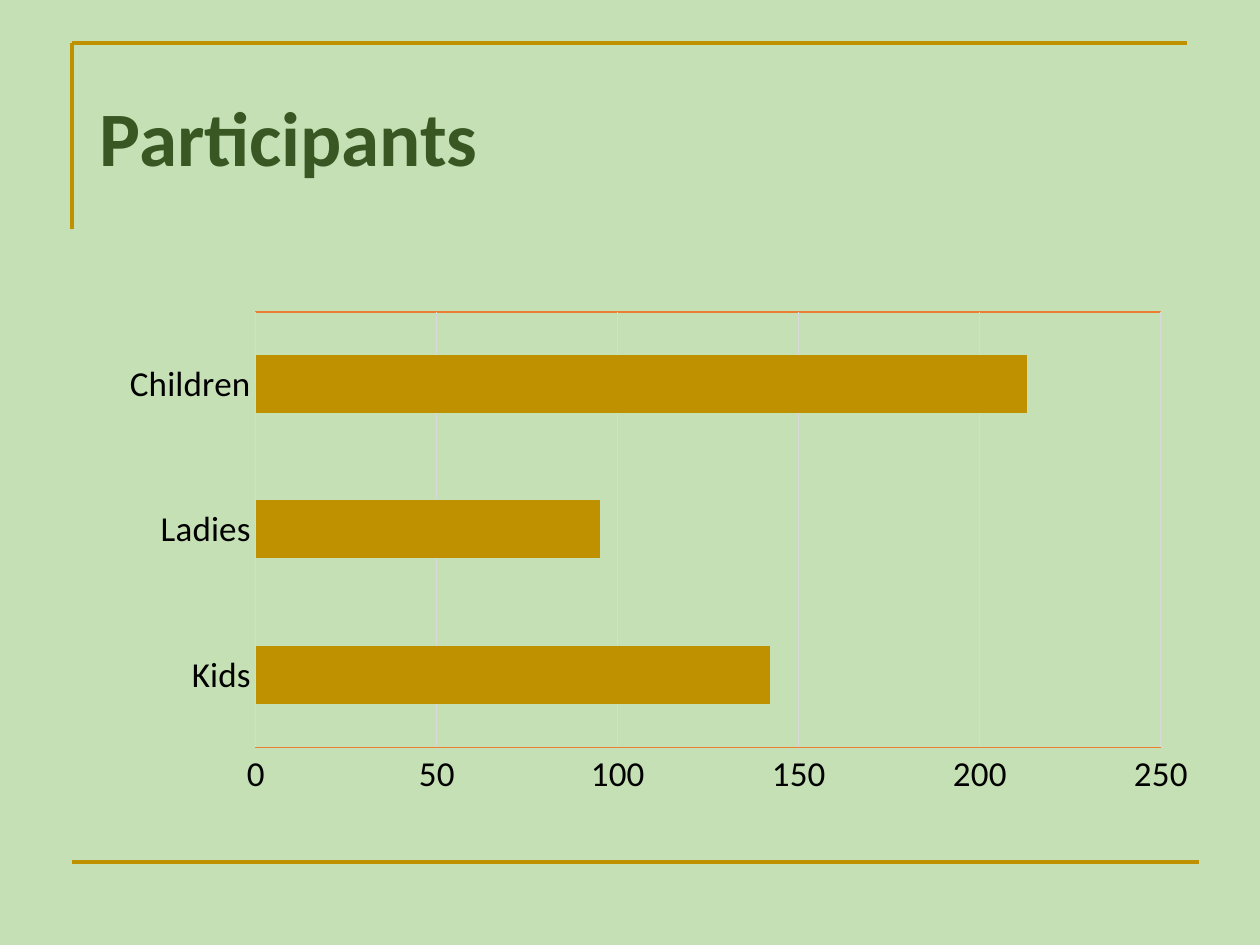
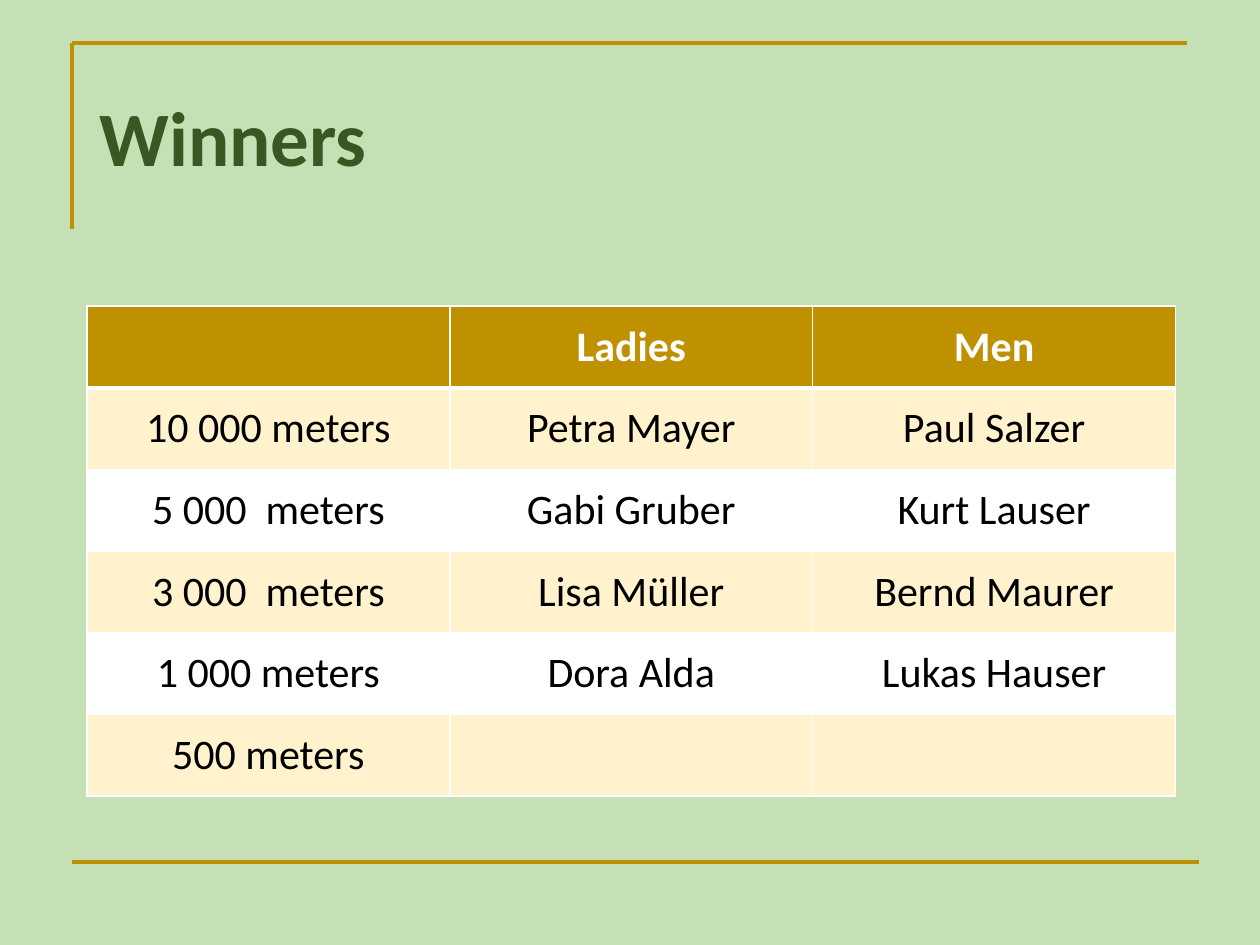
from lxml import etree
from pptx import Presentation
from pptx.chart.data import CategoryChartData
from pptx.dml.color import RGBColor
from pptx.enum.chart import XL_CHART_TYPE, XL_TICK_MARK
from pptx.enum.shapes import MSO_CONNECTOR
from pptx.enum.text import MSO_ANCHOR, PP_ALIGN
from pptx.oxml import parse_xml
from pptx.oxml.ns import nsdecls, qn
from pptx.util import Inches, Pt

BAR_STACKED = XL_CHART_TYPE.BAR_STACKED
NO_TICK = XL_TICK_MARK.NONE
STRAIGHT = MSO_CONNECTOR.STRAIGHT
MIDDLE = MSO_ANCHOR.MIDDLE
LEFT, CENTER = PP_ALIGN.LEFT, PP_ALIGN.CENTER

FONT = "Calibri"
BACKGROUND, GOLD, DARK_GREEN = "C5E0B4", "BF9000", "385723"
CREAM, WHITE, BLACK = "FFF2CC", "FFFFFF", "000000"
GREY, ORANGE = "D9D9D9", "ED7D31"


def rgb(value):
    return RGBColor.from_string(value)


def set_font(font, size, color, bold=False):
    font.name = FONT
    font.size = Pt(size)
    font.bold = bold
    font.color.rgb = rgb(color)


prs = Presentation()
prs.slide_width, prs.slide_height = Inches(10), Inches(7.5)

# Shared layout: background and title position
layout = prs.slide_layouts[5]
fill = layout.background.fill
fill.solid()
fill.fore_color.rgb = rgb(BACKGROUND)
title = layout.placeholders[0]
title.left, title.top = Inches(0.69), Inches(0.4)
title.width, title.height = Inches(8.62), Inches(1.45)
title.text_frame.vertical_anchor = MIDDLE

# Slides with their titles
slides = []
for text in ("Participants", "Winners"):
    s = prs.slides.add_slide(layout)
    s.shapes.title.text_frame.text = text
    p = s.shapes.title.text_frame.paragraphs[0]
    p.alignment = LEFT
    p.line_spacing = 0.9
    set_font(p.runs[0].font, 44, DARK_GREEN, True)
    slides.append(s)
participants, winners = slides

# Gold frame lines, moved to the layout so that both slides share them
for x1, y1, x2, y2 in ((0.57, 1.82, 0.57, 0.34),
                       (0.57, 0.34, 9.42, 0.34),
                       (0.57, 6.84, 9.52, 6.84)):
    line = participants.shapes.add_connector(
        STRAIGHT, Inches(x1), Inches(y1), Inches(x2), Inches(y2))
    line.line.color.rgb = rgb(GOLD)
    line.line.width = Pt(2.25)
    etree.SubElement(line.element.spPr, qn("a:effectLst"))
    layout.shapes.element.append(line.element)

# Participants chart
data = CategoryChartData()
data.categories = ["Kids", "Ladies", "Children"]
data.add_series("Series 1", (142, 95, 213))
chart = participants.shapes.add_chart(
    BAR_STACKED, Inches(0.69), Inches(1.87), Inches(8.76), Inches(4.84), data).chart
chart.has_title = False
chart.has_legend = False
set_font(chart.font, 10, BLACK)

plot = chart.plots[0]
plot.gap_width, plot.overlap = 150, 100
plot.vary_by_categories = False
bars = plot.series[0].format.fill
bars.solid()
bars.fore_color.rgb = rgb(GOLD)

cat_axis, val_axis = chart.category_axis, chart.value_axis
for axis in (cat_axis, val_axis):
    axis.major_tick_mark = axis.minor_tick_mark = NO_TICK
    set_font(axis.tick_labels.font, 20, BLACK)
val_axis.minimum_scale, val_axis.maximum_scale = 0, 250
val_axis.major_unit = 50
val_axis.format.line.fill.background()
val_axis.has_major_gridlines = True
for rule in (cat_axis.format.line, val_axis.major_gridlines.format.line):
    rule.color.rgb = rgb(GREY)
    rule.width = Pt(0.75)

# Plot area: fixed inner position and thin outline
area = chart.element.find(".//" + qn("c:plotArea"))
for old in area.findall(qn("c:layout")):
    area.remove(old)
area.insert(0, parse_xml(
    f'<c:layout {nsdecls("c")}><c:manualLayout><c:layoutTarget val="inner"/>'
    '<c:xMode val="edge"/><c:yMode val="edge"/><c:x val="0.153"/><c:y val="0.125"/>'
    '<c:w val="0.82"/><c:h val="0.714"/></c:manualLayout></c:layout>'))
area.append(parse_xml(
    f'<c:spPr {nsdecls("c", "a")}><a:noFill/><a:ln w="{Pt(0.75)}"><a:solidFill>'
    f'<a:srgbClr val="{ORANGE}"/></a:solidFill></a:ln></c:spPr>'))

# Winners table
rows = [
    ("", "Ladies", "Men"),
    ("10 000 meters", "Petra Mayer", "Paul Salzer"),
    ("5 000  meters", "Gabi Gruber", "Kurt Lauser"),
    ("3 000  meters", "Lisa Müller", "Bernd Maurer"),
    ("1 000 meters", "Dora Alda", "Lukas Hauser"),
    ("500 meters", "", ""),
]
table = winners.shapes.add_table(
    len(rows), 3, Inches(0.69), Inches(2.43), Inches(8.64), Inches(3.89)).table
for r, row in enumerate(rows):
    header = r == 0
    for c, text in enumerate(row):
        cell = table.cell(r, c)
        cell.vertical_anchor = MIDDLE
        cell.margin_left = cell.margin_right = Inches(0.07)
        cell.margin_top = cell.margin_bottom = Inches(0.04)
        # White borders, thicker between header and body
        for side in "LRTB":
            thick = (r, side) in ((0, "B"), (1, "T"))
            cell._tc.get_or_add_tcPr().append(parse_xml(
                f'<a:ln{side} {nsdecls("a")} w="{Pt(3 if thick else 1)}"><a:solidFill>'
                f'<a:srgbClr val="{WHITE}"/></a:solidFill></a:ln{side}>'))
        cell.fill.solid()
        cell.fill.fore_color.rgb = rgb(GOLD if header else CREAM if r % 2 else WHITE)
        p = cell.text_frame.paragraphs[0]
        p.text = text
        p.alignment = CENTER
        set_font(p.font, 24, WHITE if header else BLACK, header)
        for run in p.runs:
            set_font(run.font, 24, WHITE if header else BLACK, header)

prs.save("out.pptx")
